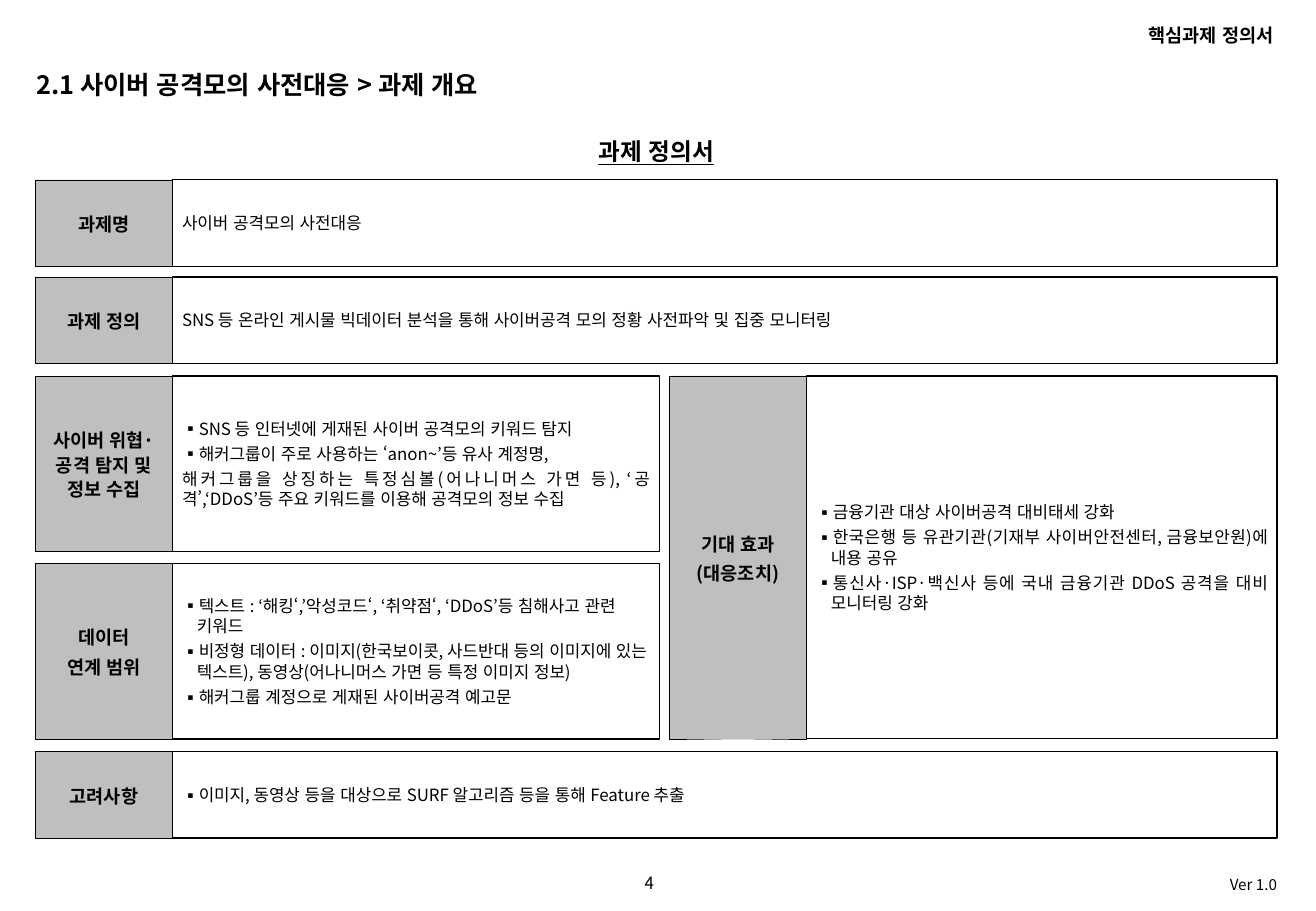
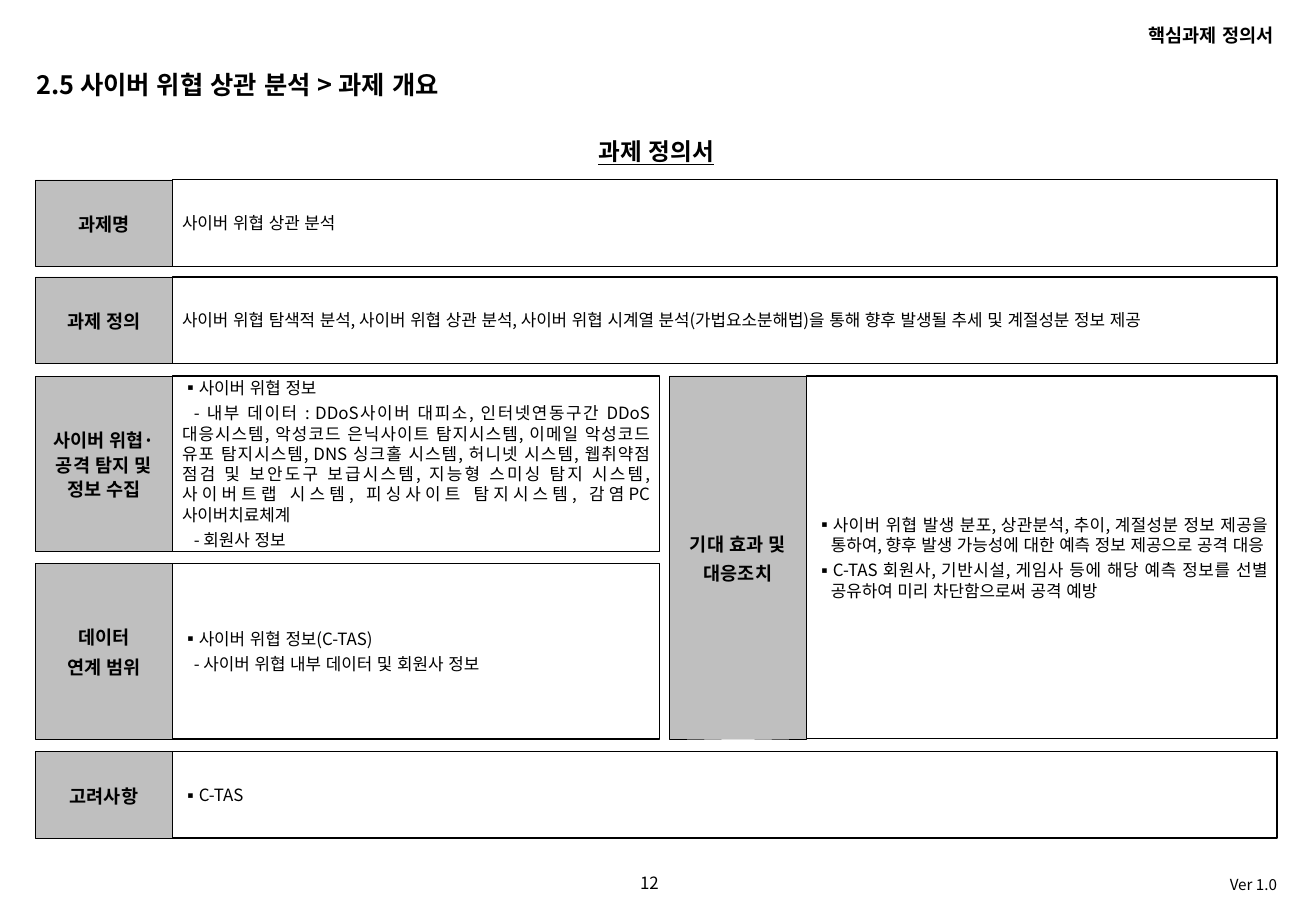
from lxml import etree
from pptx import Presentation
from pptx.dml.color import RGBColor
from pptx.enum import lang, shapes, text
from pptx.oxml import ns
from pptx.util import Pt

FONT = "Noto Sans CJK KR"
COLORS = {"ink": "000000", "label": "BFBFBF", "paper": "FFFFFF"}
ALIGN = text.PP_ALIGN

LABEL_FORMAT = {"size": Pt(11), "bold": True}
BODY_FORMAT = {"size": Pt(10)}
INSETS = {"margin_left": 5.6, "margin_right": 5.6, "margin_top": 3.6, "margin_bottom": 3.6}

LEFT, RIGHT, GAP = 21, 757, 6
LABEL_WIDTH = 81.3
LEFT_COLUMN_WIDTH = 369.8
ROW_TOPS = {"name": 106.6, "definition": 164.2, "collection": 222.9, "data": 334, "notes": 445.6}
SHORT_ROW, TALL_ROW = 51.2, 104
BULLET, DASH = "▪ ", "- "
BULLET_INDENT, DASH_INDENT = 8.8, 7

HEADER = "핵심과제 정의서"
HEADING = "과제 정의서"
VERSION = "Ver 1.0"

SLIDES = [
    {
        "page": "4",
        "title": "2.1 사이버 공격모의 사전대응 > 과제 개요",
        "name": ["사이버 공격모의 사전대응"],
        "definition": ["SNS 등 온라인 게시물 빅데이터 분석을 통해 사이버공격 모의 정황 사전파악 및 집중 모니터링"],
        "collection": [
            "▪ SNS 등 인터넷에 게재된 사이버 공격모의 키워드 탐지",
            "▪ 해커그룹이 주로 사용하는 ‘anon~’등 유사 계정명,",
            "해커그룹을 상징하는 특정심볼(어나니머스 가면 등), ‘공격’,‘DDoS’등 주요 키워드를 "
            "이용해 공격모의 정보 수집",
        ],
        "data": [
            "▪ 텍스트 : ‘해킹‘,’악성코드‘, ‘취약점‘, ‘DDoS’등 침해사고 관련 키워드",
            "▪ 비정형 데이터 : 이미지(한국보이콧, 사드반대 등의 이미지에 있는 텍스트), "
            "동영상(어나니머스 가면 등 특정 이미지 정보)",
            "▪ 해커그룹 계정으로 게재된 사이버공격 예고문",
        ],
        "effect_label": ["기대 효과", "(대응조치)"],
        "effect": [
            "▪ 금융기관 대상 사이버공격 대비태세 강화",
            "▪ 한국은행 등 유관기관(기재부 사이버안전센터, 금융보안원)에 내용 공유",
            "▪ 통신사·ISP·백신사 등에 국내 금융기관 DDoS 공격을 대비 모니터링 강화",
        ],
        "notes": ["▪ 이미지, 동영상 등을 대상으로 SURF 알고리즘 등을 통해 Feature 추출"],
    },
    {
        "page": "12",
        "title": "2.5 사이버 위협 상관 분석 > 과제 개요",
        "name": ["사이버 위협 상관 분석"],
        "definition": [
            "사이버 위협 탐색적 분석, 사이버 위협 상관 분석, 사이버 위협 시계열 분석(가법요소분해법)을 "
            "통해 향후 발생될 추세 및 계절성분 정보 제공",
        ],
        "collection": [
            "▪ 사이버 위협 정보",
            "- 내부 데이터 : DDoS사이버 대피소, 인터넷연동구간 DDoS 대응시스템, 악성코드 은닉사이트 "
            "탐지시스템, 이메일 악성코드 유포 탐지시스템, DNS 싱크홀 시스템, 허니넷 시스템, 웹취약점 "
            "점검 및 보안도구 보급시스템, 지능형 스미싱 탐지 시스템, 사이버트랩 시스템, 피싱사이트 "
            "탐지시스템, 감염PC 사이버치료체계",
            "- 회원사 정보",
        ],
        "data": ["▪ 사이버 위협 정보(C-TAS)", "- 사이버 위협 내부 데이터 및 회원사 정보"],
        "effect_label": ["기대 효과 및", "대응조치"],
        "effect": [
            "▪ 사이버 위협 발생 분포, 상관분석, 추이, 계절성분 정보 제공을 통하여, "
            "향후 발생 가능성에 대한 예측 정보 제공으로 공격 대응",
            "▪ C-TAS 회원사, 기반시설, 게임사 등에 해당 예측 정보를 선별 공유하여 "
            "미리 차단함으로써 공격 예방",
        ],
        "notes": ["▪ C-TAS"],
    },
]


def color(name):
    return RGBColor.from_string(COLORS[name])


def set_attributes(target, values):
    for name, value in values.items():
        setattr(target, name, value)


def add_element(parent, tag, **attributes):
    etree.SubElement(parent, ns.qn(tag), attributes)


def mark_item(paragraph, item):
    """Turn a leading marker into a bullet or an indent; return the text to show."""
    properties = paragraph._p.get_or_add_pPr()
    if item.startswith(BULLET):
        properties.set("marL", str(Pt(BULLET_INDENT)))
        properties.set("indent", str(-Pt(BULLET_INDENT)))
        add_element(properties, "a:buFont", typeface=FONT)
        add_element(properties, "a:buChar", char=BULLET.strip())
        return item.removeprefix(BULLET)
    if item.startswith(DASH):
        properties.set("indent", str(Pt(DASH_INDENT)))
    return item


def write(frame, items, font_format, alignment, line_spacing=None):
    frame.word_wrap = True
    for index, item in enumerate(items):
        paragraph = frame.add_paragraph() if index else frame.paragraphs[0]
        set_attributes(paragraph, {
            "alignment": alignment,
            "line_spacing": line_spacing,
            "space_before": Pt(3) if index else None,
        })
        run = paragraph.add_run()
        run.text = mark_item(paragraph, item)
        set_attributes(run.font, {"name": FONT, "language_id": lang.MSO_LANGUAGE_ID.KOREAN, **font_format})
        run.font.color.rgb = color("ink")
        add_element(run._r.get_or_add_rPr(), "a:ea", typeface=FONT)


def add_text(slide, box, content, font_format, alignment=ALIGN.LEFT, anchor=text.MSO_ANCHOR.TOP):
    frame = slide.shapes.add_textbox(*map(Pt, box)).text_frame
    frame.vertical_anchor = anchor
    write(frame, [content], font_format, alignment)


def add_cell(slide, box, fill, line_width):
    shape = slide.shapes.add_shape(shapes.MSO_SHAPE.RECTANGLE, *map(Pt, box))
    shape.shadow.inherit = False
    shape.fill.solid()
    shape.fill.fore_color.rgb = color(fill)
    shape.line.color.rgb = color("ink")
    shape.line.width = Pt(line_width)
    frame = shape.text_frame
    set_attributes(frame, {name: Pt(inset) for name, inset in INSETS.items()})
    frame.vertical_anchor = text.MSO_ANCHOR.MIDDLE
    return frame


def add_section(slide, box, label, items, alignment=ALIGN.JUSTIFY):
    """Grey label at the left of the box, white body in the rest of it."""
    left, top, width, height = box
    label_frame = add_cell(slide, (left, top, LABEL_WIDTH, height), "label", 0.25)
    write(label_frame, label, LABEL_FORMAT, ALIGN.CENTER, 1.1)
    body_box = (left + LABEL_WIDTH, top, width - LABEL_WIDTH, height)
    write(add_cell(slide, body_box, "paper", 0.75), items, BODY_FORMAT, alignment)


def add_frame(slide, title, page):
    """Header, title, heading and footer shared by every slide."""
    add_text(slide, (351.4, 514, 67, 19.4), page, {"size": Pt(10)}, ALIGN.CENTER)
    add_text(slide, (465, 515, 299, 18), VERSION, {"size": Pt(9)}, ALIGN.RIGHT)
    add_text(slide, (510, 10.8, 252, 21), HEADER, LABEL_FORMAT, ALIGN.RIGHT)
    add_text(slide, (14.4, 37.5, 634, 28), title, {"size": Pt(15), "bold": True})
    add_text(slide, (LEFT, 75.6, RIGHT - LEFT, 28), HEADING,
             {"size": Pt(14), "bold": True, "underline": True}, ALIGN.CENTER, text.MSO_ANCHOR.MIDDLE)


def add_definition_slide(presentation, content):
    slide = presentation.slides.add_slide(presentation.slide_layouts[6])
    add_frame(slide, content["title"], content["page"])

    full_width = RIGHT - LEFT
    effect_left = LEFT + LEFT_COLUMN_WIDTH + GAP
    effect_top = ROW_TOPS["collection"]
    effect_height = ROW_TOPS["data"] + TALL_ROW - effect_top
    sections = [
        ("name", ["과제명"], full_width, SHORT_ROW, ALIGN.LEFT),
        ("definition", ["과제 정의"], full_width, SHORT_ROW, ALIGN.JUSTIFY),
        ("collection", ["사이버 위협· 공격 탐지 및 정보 수집"], LEFT_COLUMN_WIDTH, TALL_ROW, ALIGN.JUSTIFY),
        ("data", ["데이터", "연계 범위"], LEFT_COLUMN_WIDTH, TALL_ROW, ALIGN.LEFT),
        ("notes", ["고려사항"], full_width, SHORT_ROW, ALIGN.LEFT),
    ]
    for key, label, width, height, alignment in sections:
        add_section(slide, (LEFT, ROW_TOPS[key], width, height), label, content[key], alignment)
    add_section(slide, (effect_left, effect_top, RIGHT - effect_left, effect_height),
                content["effect_label"], content["effect"])


def main():
    presentation = Presentation()
    set_attributes(presentation, {"slide_width": Pt(780), "slide_height": Pt(540)})
    for content in SLIDES:
        add_definition_slide(presentation, content)
    presentation.save("out.pptx")


if __name__ == "__main__":
    main()
